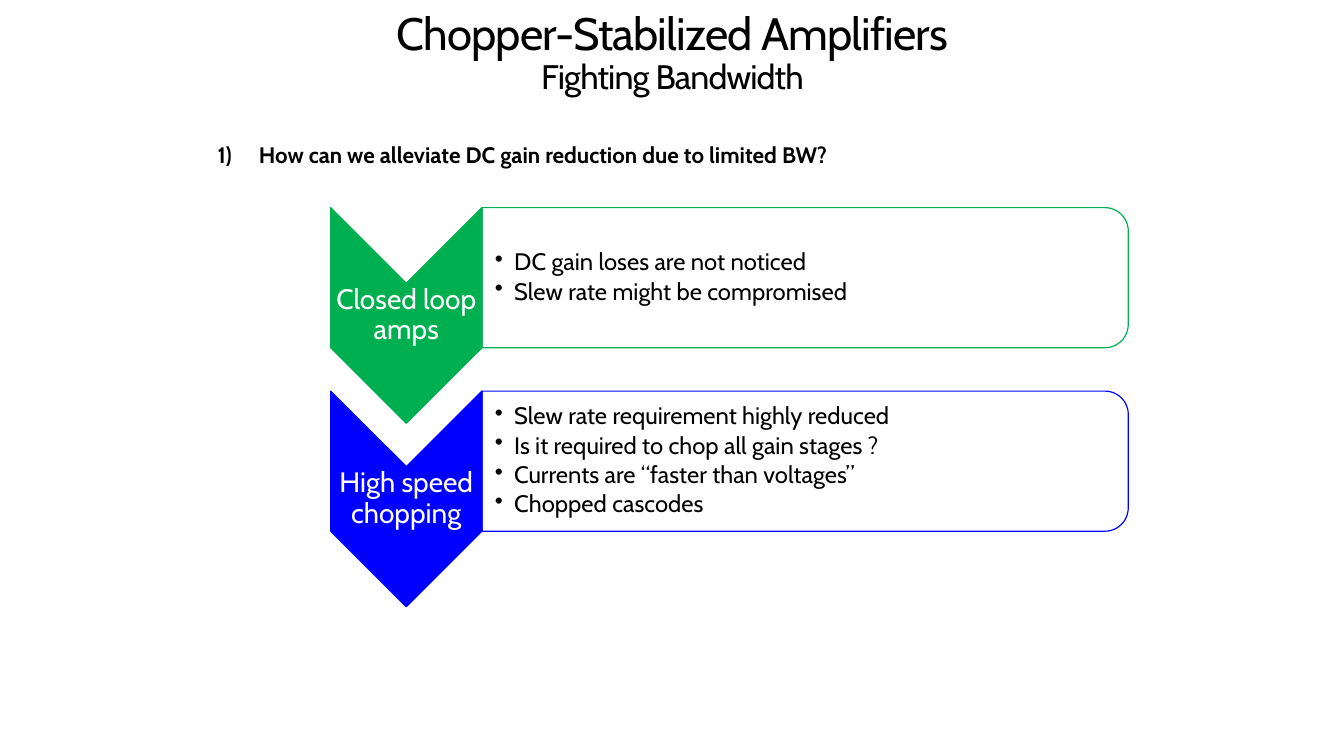
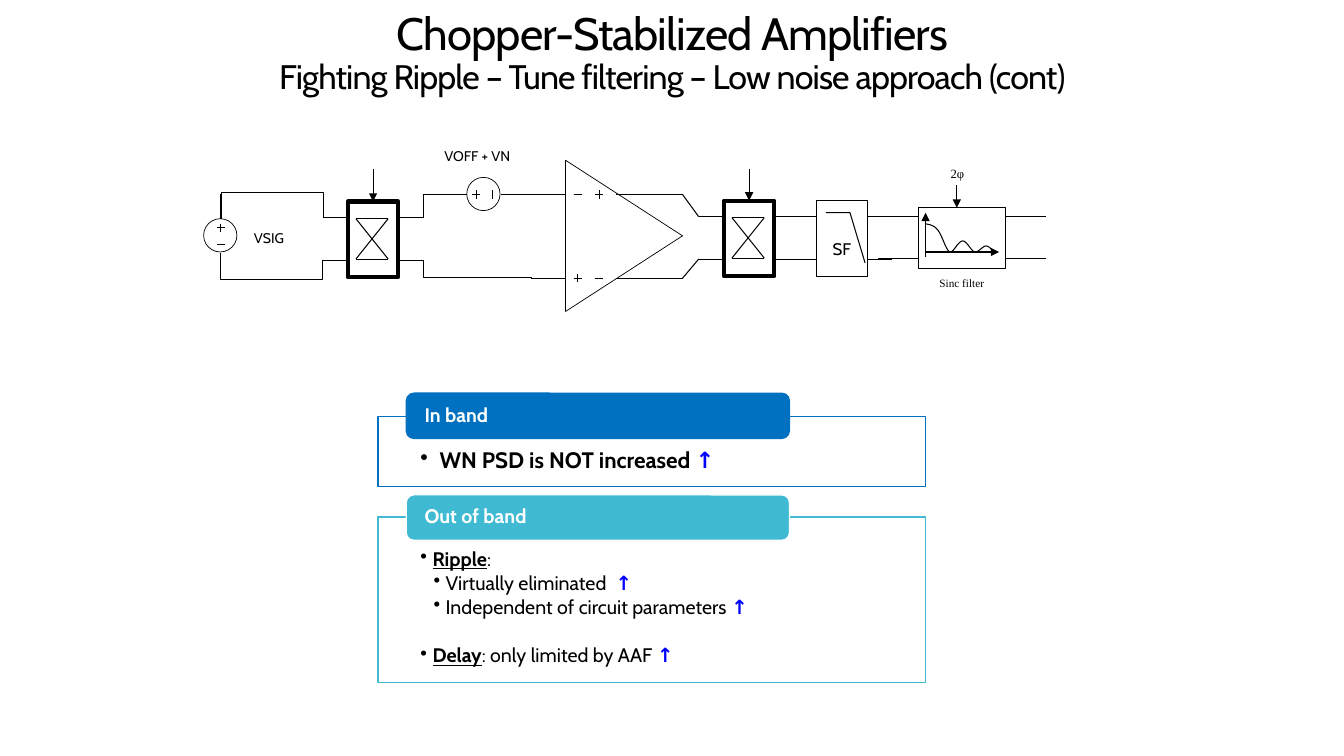
"""Build two slides on chopper-stabilized amplifiers."""
from dataclasses import dataclass
from typing import NamedTuple, Optional

from pptx import Presentation, util as u
from pptx.dml.color import RGBColor
from pptx.enum import shapes as es, text as et
from pptx.oxml import ns
from pptx.oxml.xmlchemy import OxmlElement
from pptx.shapes import autoshape, connector
from pptx.slide import Slide
from pptx.text import text as tx


@dataclass(frozen=True)
class Theme:
    font: str = "Cabin"
    serif: str = "Times New Roman"
    black: str = "000000"
    white: str = "FFFFFF"
    green: str = "00B050"
    blue: str = "0000FF"
    azure: str = "0070C0"
    teal: str = "40BAD2"
    title: float = 32.4
    subtitle: float = 24.3
    chevron: float = 20
    body: float = 17
    heading: float = 16
    panel: float = 14
    block: float = 12
    label: float = 10
    phase: float = 9
    caption: float = 8
    outline: float = 0.85
    wire: float = 0.75
    thin: float = 0.5
    thick: float = 3


T = Theme()
SHAPE = es.MSO_SHAPE
MIDDLE = et.MSO_ANCHOR.MIDDLE
TOP = et.MSO_ANCHOR.TOP
CENTER = et.PP_ALIGN.CENTER


class Box(NamedTuple):
    x: float
    y: float
    w: float
    h: float

    def emu(self) -> list[int]:
        return [u.Inches(v) for v in self]


class Run(NamedTuple):
    text: str
    color: str = T.black
    bold: bool = False
    underline: bool = False


UP = Run("↑", T.blue, True)


@dataclass(frozen=True)
class Para:
    runs: tuple[Run, ...]
    size: float
    font: str = T.font
    align: Optional[et.PP_ALIGN] = None
    bullet: str = ""
    margin: float = 0
    hang: float = 0
    level: int = 0
    spacing: float = 1
    before: float = 0
    after: float = 0


class Step(NamedTuple):
    name: str
    color: str
    points: tuple[str, ...]


class Panel(NamedTuple):
    name: str
    color: str
    edge: str
    box: Box
    tab_y: float
    anchor: et.MSO_ANCHOR
    paras: list[Para]


class Elbow(NamedTuple):
    box: Box
    rot: int
    flips: str
    preset: str
    adj: Optional[float] = None


def sub(parent, tag: str, **attrs: str):
    """Append a drawing element with its attributes."""
    el = OxmlElement(tag)
    for key, value in attrs.items():
        el.set(key, value)
    parent.append(el)
    return el


def write(tf: tx.TextFrame, paras: list[Para], anchor=TOP,
          insets=(0.1, 0.05, 0.1, 0.05), wrap: bool = True) -> None:
    """Fill a text frame with formatted paragraphs."""
    tf.word_wrap, tf.vertical_anchor = wrap, anchor
    tf.margin_left, tf.margin_top, tf.margin_right, tf.margin_bottom = map(u.Inches, insets)
    for i, para in enumerate(paras):
        p = tf.add_paragraph() if i else tf.paragraphs[0]
        p.alignment = para.align or et.PP_ALIGN.LEFT
        p.level, p.line_spacing = para.level, para.spacing
        p.space_before, p.space_after = u.Pt(para.before), u.Pt(para.after)
        if para.bullet:
            pPr = p._p.get_or_add_pPr()
            pPr.set("marL", str(u.Inches(para.margin)))
            pPr.set("indent", str(-u.Inches(para.hang)))
            if para.bullet == "1)":
                sub(pPr, "a:buAutoNum", type="arabicParenR")
            else:
                sub(pPr, "a:buChar", char=para.bullet)
        for run in para.runs:
            r = p.add_run()
            r.text = run.text
            f = r.font
            f.name, f.size, f.bold, f.underline = para.font, u.Pt(para.size), run.bold, run.underline
            f.color.rgb = RGBColor.from_string(run.color)


def textbox(s: Slide, box: Box, paras: list[Para], **frame) -> None:
    """Add a text box."""
    write(s.shapes.add_textbox(*box.emu()).text_frame, paras, **frame)


def style(sp: autoshape.Shape, line: str, width: float, fill: str = "") -> autoshape.Shape:
    """Set outline and fill, without shadow."""
    sp.shadow.inherit = False
    sp.line.color.rgb, sp.line.width = RGBColor.from_string(line), u.Pt(width)
    if fill:
        sp.fill.solid()
        sp.fill.fore_color.rgb = RGBColor.from_string(fill)
    else:
        sp.fill.background()
    return sp


def shape(s: Slide, kind: es.MSO_SHAPE, box: Box, line: str = T.black,
          width: float = T.thin, fill: str = "", rot: float = 0) -> autoshape.Shape:
    """Add a styled preset shape."""
    sp = s.shapes.add_shape(kind, *box.emu())
    sp.rotation = rot
    return style(sp, line, width, fill)


def outline(s: Slide, points: list[tuple[float, float]], width: float, close: bool = False) -> None:
    """Draw an open or closed unfilled outline."""
    pts = [(u.Inches(x), u.Inches(y)) for x, y in points]
    fb = s.shapes.build_freeform(*pts[0])
    fb.add_line_segments(pts[1:], close=close)
    style(fb.convert_to_shape(), T.black, width)


def finish(c: connector.Connector, width: float, arrow: bool = False) -> connector.Connector:
    """Set a connector's line, arrowhead and empty effects."""
    c.line.color.rgb, c.line.width = RGBColor.from_string(T.black), u.Pt(width)
    if arrow:
        sub(c.line._get_or_add_ln(), "a:tailEnd", type="triangle")
    sub(c._element.spPr, "a:effectLst")
    return c


def line(s: Slide, x1: float, y1: float, x2: float, y2: float,
         width: float = T.wire, arrow: bool = False) -> connector.Connector:
    """Draw a straight connector."""
    ends = [u.Inches(v) for v in (x1, y1, x2, y2)]
    return finish(s.shapes.add_connector(es.MSO_CONNECTOR.STRAIGHT, *ends), width, arrow)


def elbow(s: Slide, e: Elbow) -> None:
    """Draw a turned elbow connector in its unrotated frame."""
    x, y, w, h = e.box
    ends = [u.Inches(v) for v in (x, y, x + w, y + h)]
    c = finish(s.shapes.add_connector(es.MSO_CONNECTOR.ELBOW, *ends), T.wire)
    xfrm = c._element.spPr.find(ns.qn("a:xfrm"))
    xfrm.set("rot", str(e.rot * 60000))
    for flip in e.flips:
        xfrm.set("flip" + flip, "1")
    geom = c._element.spPr.find(ns.qn("a:prstGeom"))
    geom.set("prst", e.preset)
    if e.adj is not None:
        sub(geom.find(ns.qn("a:avLst")), "a:gd", name="adj1", fmla=f"val {round(e.adj * 100000)}")


def pair(s: Slide, x1: float, x2: float, top: float, bottom: float, width: float = T.wire) -> None:
    """Draw the two wires of a differential signal."""
    for y in (top, bottom):
        line(s, x1, y, x2, y, width)


def mark(s: Slide, x: float, y: float, sign: str) -> None:
    """Draw a polarity sign: plus, minus or upright minus."""
    if sign in "+-":
        line(s, x - 0.04, y, x + 0.04, y, T.thin)
    if sign in "+|":
        line(s, x, y - 0.04, x, y + 0.04, T.thin)


def stage(s: Slide, x: float, y: float, width: float) -> autoshape.Shape:
    """Draw a block with differential leads on both sides."""
    sp = shape(s, SHAPE.RECTANGLE, Box(x, y, 0.5, 0.75), width=width)
    for start in (x - 0.25, x + 0.5):
        pair(s, start, start + 0.25, y + 0.16, y + 0.58, T.thin)
    return sp


def chopper(s: Slide, x: float, y: float) -> None:
    """Draw a chopper with its clock arrow."""
    sp = stage(s, x, y, T.thick)
    left, right, top, bottom = x + 0.08, x + 0.4, y + 0.17, y + 0.57
    line(s, left, top, right, bottom)
    line(s, left, bottom, right, top)
    pair(s, left, right, top, bottom)
    line(s, x + 0.25, 1.68, x + 0.25, y, arrow=True).end_connect(sp, 0)


def bezier(nodes: list[tuple[float, float]], steps: int = 8) -> list[tuple[float, float]]:
    """Sample a chain of cubic curves."""
    points = [nodes[0]]
    for i in range(0, len(nodes) - 1, 3):
        for k in range(1, steps + 1):
            t = k / steps
            weights = ((1 - t) ** 3, 3 * t * (1 - t) ** 2, 3 * t * t * (1 - t), t ** 3)
            points.append(tuple(sum(c * n[a] for c, n in zip(weights, nodes[i:i + 4])) for a in (0, 1)))
    return points


def titled_slide(prs: Presentation, subtitle: str) -> Slide:
    """Add a slide with the shared two-line title."""
    s = prs.slides.add_slide(prs.slide_layouts[5])
    sp = s.shapes.title
    sp.left, sp.top, sp.width, sp.height = Box(0.6, 0.12, 12.14, 0.84).emu()
    tf = sp.text_frame
    tf.text = f"Chopper-Stabilized Amplifiers\v{subtitle}"
    tf.auto_size, tf.vertical_anchor = et.MSO_AUTO_SIZE.NONE, MIDDLE
    p = tf.paragraphs[0]
    p.alignment, p.line_spacing = CENTER, 0.9
    for r, size in zip(p.runs, (T.title, T.subtitle)):
        r.font.name, r.font.size = T.font, u.Pt(size)
        r.font.color.rgb = RGBColor.from_string(T.black)
        r._r.get_or_add_rPr().set("spc", "-60")
    return s


def item(*runs: Run, size: float, margin: float, hang: float, level: int = 0, before: float = 0) -> Para:
    """Make a bulleted paragraph."""
    return Para(runs, size, bullet="•", margin=margin, hang=hang, level=level,
                spacing=0.9, before=before, after=size * 0.15)


def draw_step(s: Slide, y: float, step: Step) -> None:
    """Draw a chevron with its box of points."""
    shape(s, SHAPE.CHEVRON, Box(2.96, y + 0.32, 2.14, 1.5), step.color, T.outline, step.color, 90)
    textbox(s, Box(3.28, y + 0.75, 1.5, 0.64),
            [Para((Run(step.name, T.white),), T.chevron, align=CENTER, spacing=0.9)],
            anchor=MIDDLE, insets=(0.01,) * 4)
    shape(s, SHAPE.ROUND_2_SAME_RECTANGLE, Box(7.29, y - 2.51, 1.39, 6.41), step.color, T.outline, rot=90)
    textbox(s, Box(4.78, y + 0.07, 6.34, 1.25),
            [item(Run(v), size=T.body, margin=0.19, hang=0.19) for v in step.points],
            anchor=MIDDLE, insets=(0.13, 0.01, 0.01, 0.01))


def draw_panel(s: Slide, panel: Panel) -> None:
    """Draw a framed panel with a coloured tab."""
    sp = shape(s, SHAPE.RECTANGLE, panel.box, panel.color, T.outline, T.white)
    sub(sp._element.spPr.find(ns.qn("a:solidFill"))[0], "a:alpha", val="90000")
    write(sp.text_frame, panel.paras, panel.anchor, (0.42, 0.32, 0.42, 0.12))
    tab = shape(s, SHAPE.ROUNDED_RECTANGLE, Box(4.03, panel.tab_y, 3.8, 0.45), panel.edge, T.outline, panel.color)
    write(tab.text_frame, [Para((Run(panel.name, T.white, True),), T.panel, spacing=0.9)],
          MIDDLE, (0.16, 0, 0.16, 0))


def bandwidth_slide(prs: Presentation) -> None:
    """Build the bandwidth slide."""
    s = titled_slide(prs, "Fighting Bandwidth")
    question = Run("How can we alleviate DC gain reduction due to limited BW?", bold=True)
    textbox(s, Box(2.06, 1.35, 7.7, 0.37), [Para((question,), T.heading, bullet="1)", margin=0.41, hang=0.41)])
    steps = (
        Step("Closed loop amps", T.green, ("DC gain loses are not noticed", "Slew rate might be compromised")),
        Step("High speed chopping", T.blue, (
            "Slew rate requirement highly reduced", "Is it required to chop all gain stages ?",
            "Currents are “faster than voltages”", "Chopped cascodes")),
    )
    for i, step in enumerate(steps):
        draw_step(s, 2.06 + 1.82 * i, step)


def draw_circuit(s: Slide) -> None:
    """Draw the signal chain from source to sinc filter."""
    for x, y in ((2.02, 2.17), (4.63, 1.76)):
        shape(s, SHAPE.OVAL, Box(x, y, 0.33, 0.33))
    outline(s, [(6.77, 2.34), (5.61, 3.09), (5.61, 1.59)], T.thin, close=True)
    for x, y, sign in ((2.19, 2.26, "+"), (2.19, 2.42, "-"), (4.72, 1.93, "+"), (4.88, 1.93, "|"),
                       (5.73, 1.93, "-"), (5.94, 1.93, "+"), (5.73, 2.76, "+"), (5.94, 2.76, "-")):
        mark(s, x, y, sign)
    for ends in ((2.19, 2.17, 2.19, 1.92), (2.19, 2.76, 2.19, 2.51),
                 (4.38, 1.93, 4.63, 1.93), (4.97, 1.93, 5.22, 1.93)):
        line(s, *ends, T.thin)
    for ends in ((5.22, 1.93, 5.27, 1.93), (6.77, 1.93, 6.93, 2.15), (6.77, 2.76, 6.93, 2.57)):
        line(s, *ends)
    for e in (Elbow(Box(2.69, 1.66, 0.02, 1.01), 90, "HV", "bentConnector3", 13),
              Elbow(Box(2.6, 2.16, 0.18, 1.01), 90, "HV", "bentConnector3", -0.08),
              Elbow(Box(4.65, 2.13, 0.18, 1.07), 90, "V", "bentConnector3", 0.99),
              Elbow(Box(4.2, 1.93, 0.18, 0.23), 180, "V", "bentConnector2")):
        elbow(s, e)
    for x1, x2 in ((5.27, 5.61), (6.11, 6.77)):
        pair(s, x1, x2, 1.93, 2.76, T.thin)
    chopper(s, 3.45, 2)
    chopper(s, 7.18, 1.99)
    sf = stage(s, 8.1, 1.99, T.thin)
    write(sf.text_frame, [Para((Run("SF"),), T.block, align=CENTER)], MIDDLE, (0.1, 0.25, 0.1, 0.05), False)
    outline(s, [(8.19, 2.11), (8.43, 2.11), (8.58, 2.61)], T.wire)
    pair(s, 7.85, 7.93, 2.15, 2.57)
    for x in (8.71, 9.97):
        pair(s, x, x + 0.4, 2.15, 2.56)
    shape(s, SHAPE.RECTANGLE, Box(9.11, 2.06, 0.86, 0.6), width=T.wire)
    for ends in ((9.18, 2.55, 9.18, 2.11), (9.18, 2.5, 9.91, 2.5), (9.49, 1.84, 9.49, 2.06)):
        line(s, *ends, arrow=True)
    outline(s, bezier([
        (9.18, 2.22), (9.22, 2.23), (9.26, 2.23), (9.3, 2.28), (9.34, 2.32), (9.38, 2.48),
        (9.42, 2.5), (9.46, 2.51), (9.5, 2.39), (9.55, 2.39), (9.59, 2.39), (9.63, 2.49),
        (9.67, 2.5), (9.71, 2.5), (9.75, 2.44), (9.78, 2.44), (9.81, 2.44), (9.84, 2.48), (9.85, 2.5)]), T.wire)
    textbox(s, Box(9.11, 2.71, 0.86, 0.2), [Para((Run("Sinc filter"),), T.caption, T.serif, CENTER)],
            insets=(0.07, 0.03, 0.07, 0.03))
    textbox(s, Box(9.33, 1.6, 0.38, 0.25), [Para((Run("2φ"),), T.phase, T.serif)])
    for label, box in (("VOFF + VN", Box(4.31, 1.41, 0.94, 0.27)), ("VSIG", Box(2.42, 2.23, 0.55, 0.27))):
        textbox(s, box, [Para((Run(label),), T.label)])


def ripple_slide(prs: Presentation) -> None:
    """Build the ripple slide."""
    s = titled_slide(prs, "Fighting Ripple – Tune filtering – Low noise approach (cont)")
    draw_circuit(s)
    outer = {"size": T.panel, "margin": 0.12, "hang": 0.12}
    inner = {"size": T.panel, "margin": 0.25, "hang": 0.12, "level": 1}
    in_band = [item(Run("WN PSD is NOT increased ", bold=True), UP, size=T.heading, margin=0.19, hang=0.19)]
    out_of_band = [
        item(Run("Ripple", bold=True, underline=True), Run(":"), **outer),
        item(Run("Virtually eliminated  "), UP, **inner),
        item(Run("Independent of circuit parameters "), UP, **inner),
        item(Run("Delay", bold=True, underline=True), Run(": only limited by AAF "), UP, before=17.4, **outer),
    ]
    for panel in (
        Panel("In band", T.azure, T.azure, Box(3.75, 4.13, 5.43, 0.7), 3.9, MIDDLE, in_band),
        Panel("Out of band", T.teal, T.white, Box(3.75, 5.13, 5.43, 1.64), 4.91, TOP, out_of_band),
    ):
        draw_panel(s, panel)


def main() -> None:
    """Build and save the presentation."""
    prs = Presentation()
    prs.slide_width, prs.slide_height = u.Inches(13.33), u.Inches(7.5)
    bandwidth_slide(prs)
    ripple_slide(prs)
    prs.save("out.pptx")


if __name__ == "__main__":
    main()
